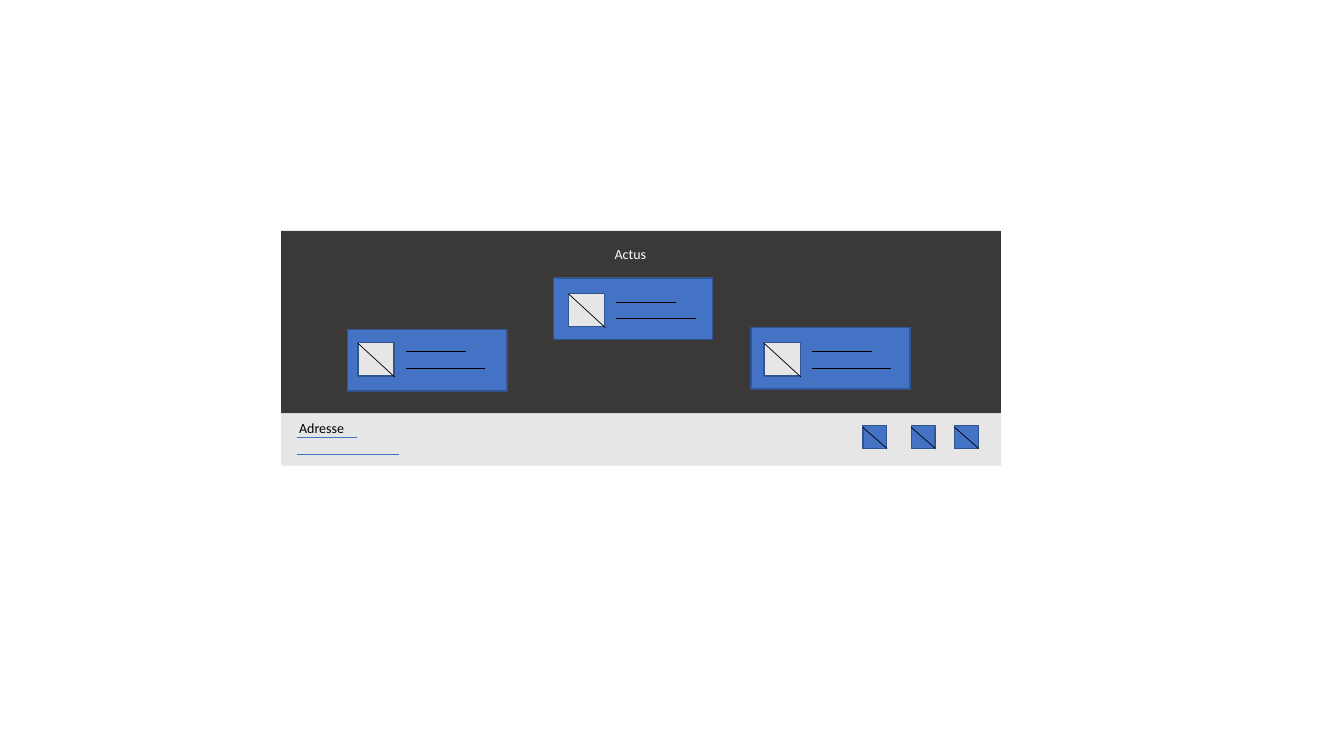
from dataclasses import dataclass
from pptx import Presentation
from pptx.dml.color import RGBColor
from pptx.enum.shapes import MSO_CONNECTOR, MSO_SHAPE
from pptx.enum.text import MSO_AUTO_SIZE
from pptx.oxml.ns import qn
from pptx.util import Inches, Pt
from lxml.etree import SubElement


@dataclass(frozen=True)
class Theme:
    font: str = "Calibri"
    text_size: float = 10
    thin: float = 0.5
    border: float = 1
    dark: str = "3B3838"
    light: str = "E7E6E6"
    accent: str = "4472C4"
    edge: str = "325491"
    black: str = "000000"
    white: str = "FFFFFF"


@dataclass(frozen=True)
class Box:
    left: float
    top: float
    width: float
    height: float

    def inner(self, column, row, width, height):
        return Box(self.left + column, self.top + row, width, height)

    def lengths(self):
        return [cells(n) for n in (self.left, self.top, self.width, self.height)]


THEME = Theme()
CELL = 0.1
COLUMNS, ROWS = 133.33, 75


def cells(count):
    return Inches(count * CELL)


def color(name):
    return RGBColor.from_string(name)


def add_rectangle(page, box, fill, edge=None):
    shape = page.shapes.add_shape(MSO_SHAPE.RECTANGLE, *box.lengths())
    shape.shadow.inherit = False
    shape.fill.solid()
    shape.fill.fore_color.rgb = color(fill)
    if edge:
        shape.line.color.rgb = color(edge)
        shape.line.width = Pt(THEME.border)
    else:
        shape.line.fill.background()


def add_line(page, box, ink):
    left, top, width, height = box.lengths()
    line = page.shapes.add_connector(
        MSO_CONNECTOR.STRAIGHT, left, top, left + width, top + height)
    line.line.color.rgb = color(ink)
    line.line.width = Pt(THEME.thin)
    SubElement(line._element.spPr, qn("a:effectLst"))


def add_label(page, box, text, ink):
    frame = page.shapes.add_textbox(*box.lengths()).text_frame
    frame.word_wrap = False
    frame.auto_size = MSO_AUTO_SIZE.SHAPE_TO_FIT_TEXT
    para = frame.paragraphs[0]
    para.text = text
    para.font.name = THEME.font
    para.font.size = Pt(THEME.text_size)
    para.font.color.rgb = color(ink)


def add_card(page, box, padding):
    add_rectangle(page, box, THEME.accent, THEME.edge)
    thumbnail = box.inner(*padding, 3.6, 3.3)
    add_rectangle(page, thumbnail, THEME.light, THEME.edge)
    add_line(page, thumbnail.inner(0, 0.05, 3.65, 3.35), THEME.black)
    for row, width in ((0.85, 5.95), (2.5, 7.85)):
        add_line(page, thumbnail.inner(4.75, row, width, 0), THEME.black)


def add_news(page, box):
    add_rectangle(page, box, THEME.dark)
    add_label(page, box.inner(32.1, 1, 5.6, 2.7), "Actus", THEME.white)
    cards = ((6.6, 9.8, (1, 1.3)), (27, 4.7, (1.5, 1.5)), (46.6, 9.6, (1.3, 1.5)))
    for column, row, padding in cards:
        add_card(page, box.inner(column, row, 15.8, 6.1), padding)


def add_footer(page, box):
    add_rectangle(page, box, THEME.light)
    add_label(page, box.inner(0.8, 0.1, 7.6, 2.7), "Adresse", THEME.black)
    for row, width in ((2.4, 5.9), (4.1, 10.1)):
        add_line(page, box.inner(1.6, row, width, 0), THEME.accent)
    for column in (57.7, 62.5, 66.8):
        icon = box.inner(column, 1.2, 2.35, 2.3)
        add_rectangle(page, icon, THEME.accent, THEME.edge)
        add_line(page, icon.inner(0, 0.2, 2.4, 2.1), THEME.black)


deck = Presentation()
deck.slide_width, deck.slide_height = cells(COLUMNS), cells(ROWS)
page = deck.slides.add_slide(deck.slide_layouts[6])
add_footer(page, Box(27.9, 41, 71.4, 5.2))
add_news(page, Box(27.9, 22.9, 71.4, 18.1))
deck.save("out.pptx")
